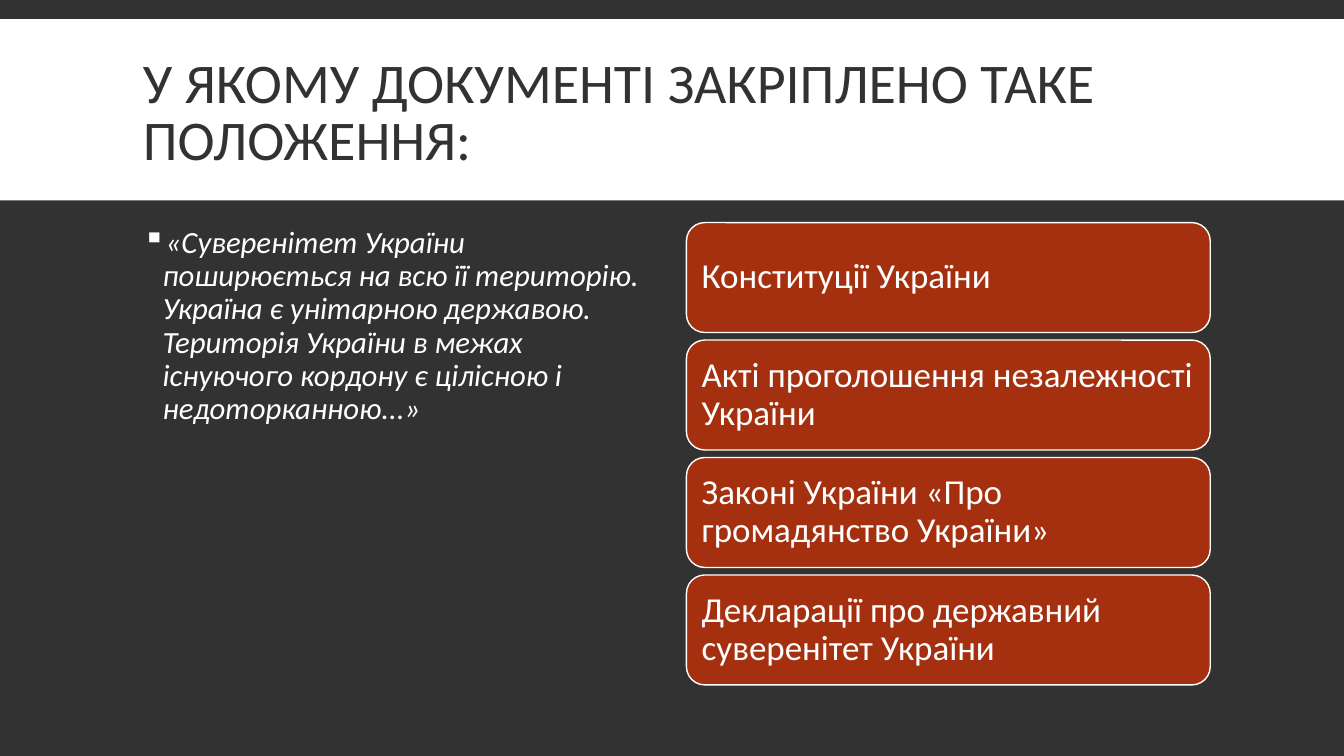
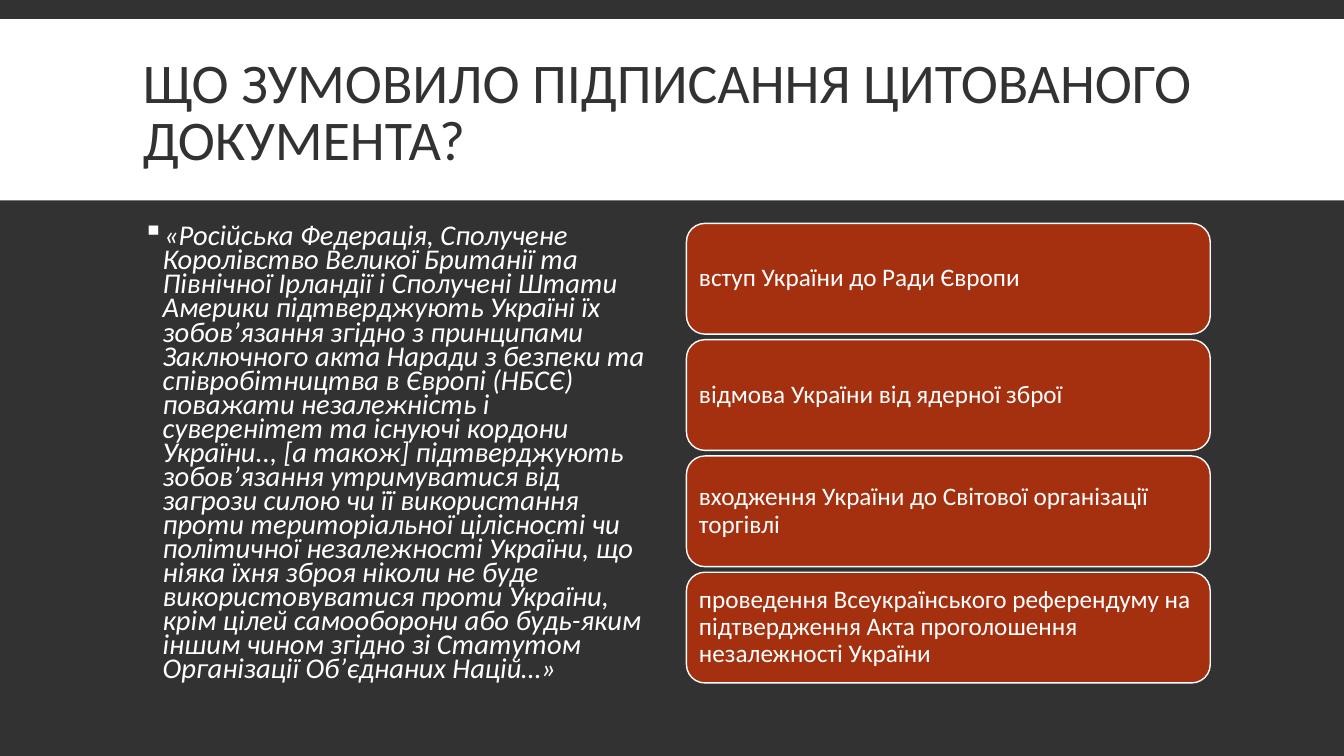
from lxml import etree
from pptx import Presentation
from pptx import util as u
from pptx.dml.color import RGBColor
from pptx.enum import shapes, text
from pptx.oxml.ns import qn

DARK, WHITE, RED = "323232", "FFFFFF", "A5300F"
WIDE, HIGH = 33.87, 19.05


def paint(target, color):
    """Give a fill or a line's fill one solid colour."""
    target.solid()
    target.fore_color.rgb = RGBColor.from_string(color)


class Deck:
    """Holds the shared style and the slide being built."""

    font = "Calibri"

    def __init__(self):
        self.prs = Presentation()
        self.prs.slide_width, self.prs.slide_height = u.Cm(WIDE), u.Cm(HIGH)
        self.slide = None

    def start(self, title):
        """Open a slide with its background, band and title."""
        self.slide = self.prs.slides.add_slide(self.prs.slide_layouts[6])
        paint(self.slide.background.fill, DARK)
        self.shape(shapes.MSO_SHAPE.RECTANGLE, 0, 0.48, WIDE, 4.57, WHITE)
        frame = self.box(3.35, 0.79, 27.18, 4.19)
        frame.vertical_anchor = text.MSO_ANCHOR.MIDDLE
        self.label(frame, title, 40, DARK, 0.85)

    def shape(self, kind, x, y, w, h, fill, line=None):
        item = self.slide.shapes.add_shape(
            kind, u.Cm(x), u.Cm(y), u.Cm(w), u.Cm(h))
        item.shadow.inherit = False
        paint(item.fill, fill)
        if line:
            paint(item.line.fill, line)
            item.line.width = u.Pt(1)
        else:
            item.line.fill.background()
        return item

    def box(self, x, y, w, h):
        frame = self.slide.shapes.add_textbox(
            u.Cm(x), u.Cm(y), u.Cm(w), u.Cm(h)).text_frame
        frame.word_wrap = True
        return frame

    def label(self, frame, words, size, color, space):
        """Fill a text frame with one styled paragraph."""
        para = frame.paragraphs[0]
        para.text = words
        para.alignment = text.PP_ALIGN.LEFT
        para.line_spacing = space
        para.font.name, para.font.size = self.font, u.Pt(size)
        para.font.color.rgb = RGBColor.from_string(color)
        return para

    def quote(self, words, size, space):
        """Add the bulleted italic passage on the left."""
        frame = self.box(3.35, 5.59, 13.2, 11.68)
        para = self.label(frame, words, size, WHITE, space)
        para.font.italic = True
        props = para._p.get_or_add_pPr()
        props.set("marL", str(u.Cm(0.5)))
        props.set("indent", str(u.Cm(-0.5)))
        mark = etree.Element(qn("a:buChar"), char="▪")
        props.find(qn("a:defRPr")).addprevious(mark)

    def cards(self, items, size, top, high, gap, pad):
        """Stack the answers on the right at equal gaps."""
        for i, words in enumerate(items):
            card = self.shape(shapes.MSO_SHAPE.ROUNDED_RECTANGLE, 17.3,
                              top + i * (high + gap), 13.2, high, RED, WHITE)
            frame = card.text_frame
            frame.word_wrap = True
            frame.vertical_anchor = text.MSO_ANCHOR.MIDDLE
            frame.margin_left = frame.margin_right = u.Cm(pad)
            frame.margin_top = frame.margin_bottom = u.Cm(pad)
            self.label(frame, words, size, WHITE, 0.9)


def main():
    deck = Deck()

    deck.start("У ЯКОМУ ДОКУМЕНТІ ЗАКРІПЛЕНО ТАКЕ ПОЛОЖЕННЯ:")
    deck.quote(
        "«Суверенітет України поширюється на всю її територію. Україна є "
        "унітарною державою. Територія України в межах існуючого кордону є "
        "цілісною і недоторканною...»", 22, 0.9)
    deck.cards([
        "Конституції України",
        "Акті проголошення незалежності України",
        "Законі України «Про громадянство України»",
        "Декларації про державний суверенітет України",
    ], size=25, top=5.61, high=2.77, gap=0.19, pad=0.25)

    deck.start("ЩО ЗУМОВИЛО ПІДПИСАННЯ ЦИТОВАНОГО ДОКУМЕНТА?")
    deck.quote(
        "«Російська Федерація, Сполучене Королівство Великої Британії та "
        "Північної Ірландії і Сполучені Штати Америки підтверджують Україні "
        "їх зобов’язання згідно з принципами Заключного акта Наради з безпеки "
        "та співробітництва в Європі (НБСЄ) поважати незалежність і "
        "суверенітет та існуючі кордони України.., [а також] підтверджують "
        "зобов’язання утримуватися від загрози силою чи її використання проти "
        "територіальної цілісності чи політичної незалежності України, що "
        "ніяка їхня зброя ніколи не буде використовуватися проти України, "
        "крім цілей самооборони або будь-яким іншим чином згідно зі Статутом "
        "Організації Об’єднаних Націй…»", 20.4, 0.7)
    deck.cards([
        "вступ України до Ради Європи",
        "відмова України від ядерної зброї",
        "входження України до Світової організації торгівлі",
        "проведення Всеукраїнського референдуму на підтвердження Акта "
        "проголошення незалежності України",
    ], size=18, top=5.63, high=2.79, gap=0.14, pad=0.18)

    deck.prs.save("out.pptx")


if __name__ == "__main__":
    main()
